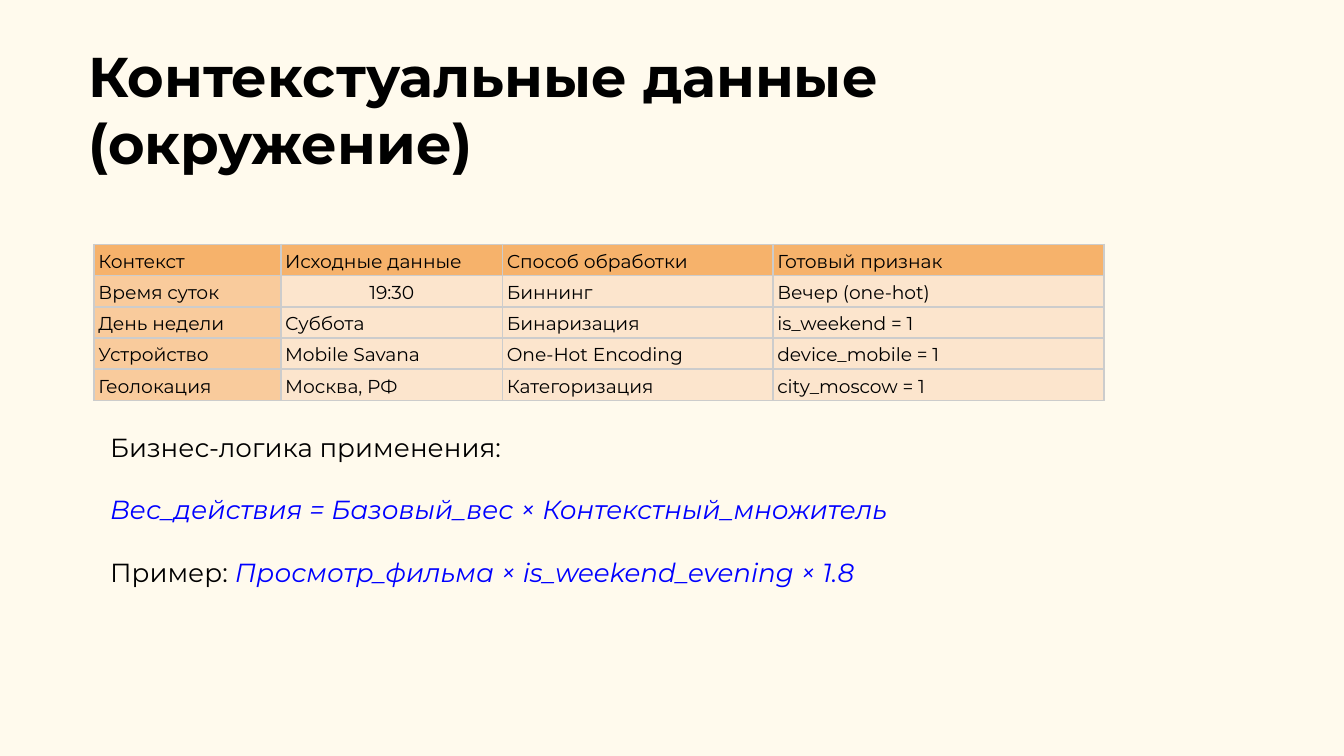
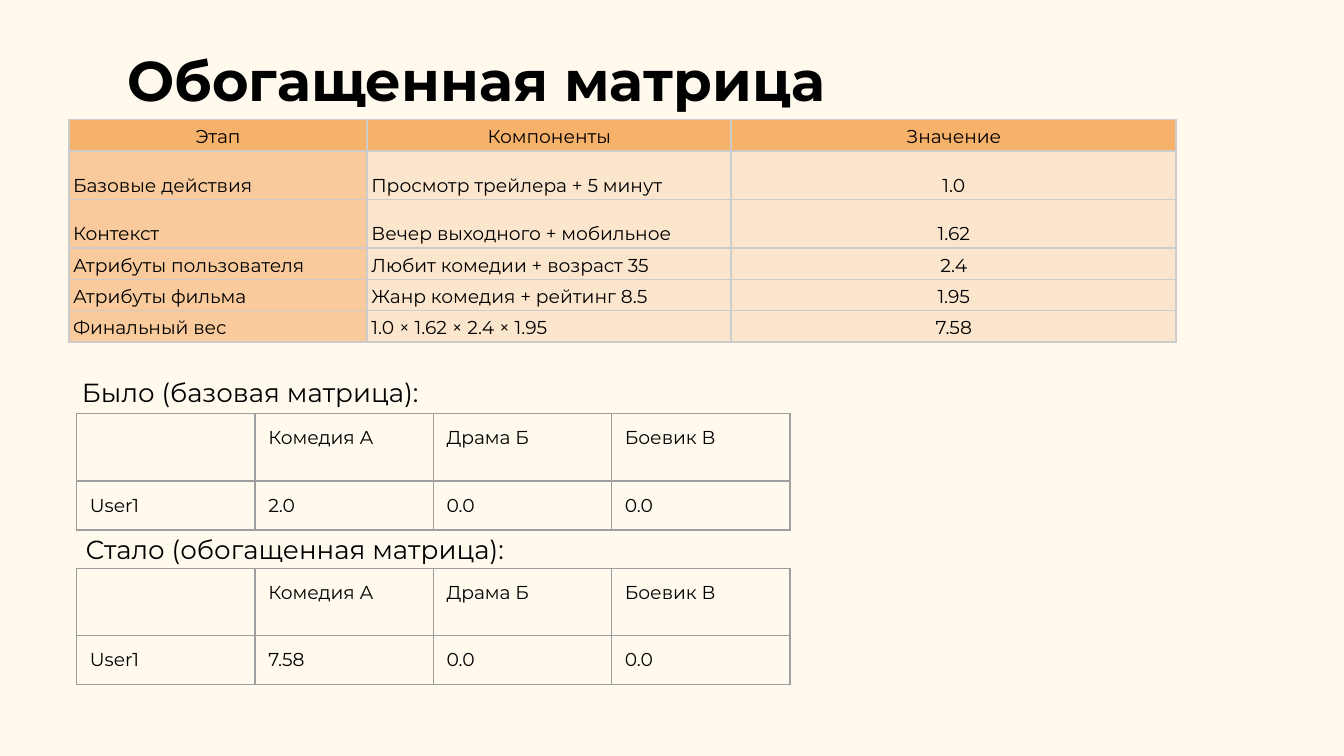
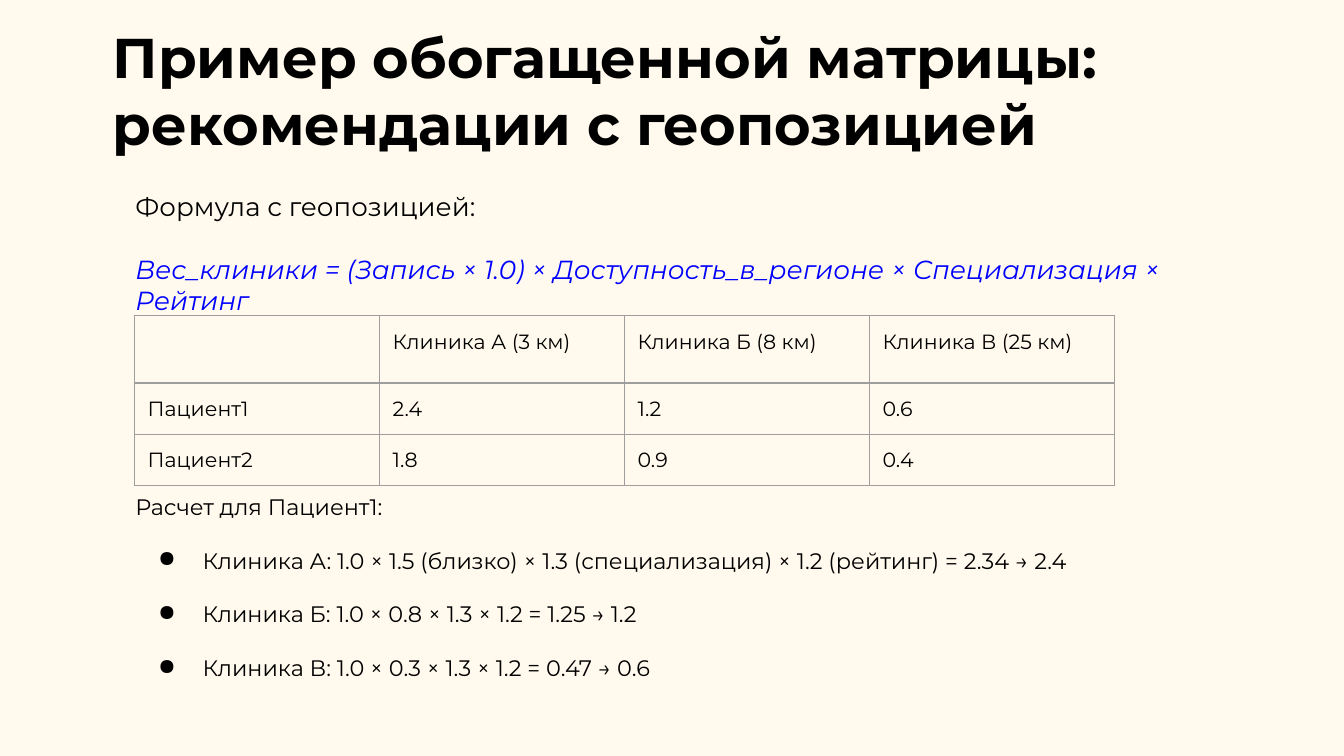
from lxml.etree import SubElement as Sub
from pptx import Presentation
from pptx.dml.color import RGBColor as RGB
from pptx.enum.text import MSO_ANCHOR as Anchor, MSO_AUTO_SIZE as Auto, PP_ALIGN as Align
from pptx.oxml.ns import qn
from pptx.util import Cm, Pt

CREAM = RGB(0xFF, 0xFA, 0xED)
BLACK = RGB(0x00, 0x00, 0x00)
BLUE = RGB(0x00, 0x00, 0xFF)
HEAD = RGB(0xF6, 0xB2, 0x6B)
SIDE = RGB(0xF9, 0xCB, 0x9C)
PEACH = RGB(0xFC, 0xE5, 0xCD)
SILVER = RGB(0xCC, 0xCC, 0xCC)
GREY = RGB(0x9E, 0x9E, 0x9E)

FONT = "Montserrat"
LEADING = 1.2
PAD = dict.fromkeys(("margin_left", "margin_top", "margin_right", "margin_bottom"), Cm(0.25))
TIGHT = {"margin_left": Cm(0.08), "margin_top": Cm(0.05),
         "margin_right": Cm(0.08), "margin_bottom": Cm(0.05),
         "vertical_anchor": Anchor.BOTTOM}
GROW = {**PAD, "word_wrap": True, "auto_size": Auto.SHAPE_TO_FIT_TEXT}
PLAIN = {"first_row": False, "horz_banding": False}


def apply(item, form):
    for name, value in form.items():
        setattr(item, name, value)


class Deck:
    def __init__(self):
        self.prs = Presentation()
        apply(self.prs, {"slide_width": Cm(25.4), "slide_height": Cm(14.29)})
        self.slide = None

    def page(self):
        self.slide = self.prs.slides.add_slide(self.prs.slide_layouts[6])
        fill = self.slide.background.fill
        fill.solid()
        fill.fore_color.rgb = CREAM

    def run(self, para, text, size, color=BLACK, **form):
        run = para.add_run()
        run.text = text
        apply(run.font, {"name": FONT, "size": Pt(size), **form})
        run.font.color.rgb = color

    def bullet(self, para):
        props = para._p.get_or_add_pPr()
        props.set("marL", str(Cm(1.27)))
        props.set("indent", str(Cm(-0.84)))
        color = Sub(props, qn("a:buClr"))
        Sub(color, qn("a:srgbClr"), val=str(BLACK))
        Sub(props, qn("a:buChar"), char="●")

    def text(self, box, lines, size=14, points=(), **form):
        frame = self.slide.shapes.add_textbox(*map(Cm, box)).text_frame
        apply(frame, GROW)
        for num, line in enumerate([*lines, *points]):
            para = frame.add_paragraph() if num else frame.paragraphs[0]
            if num:
                para.space_before = Pt(size * LEADING)
            if num >= len(lines):
                self.bullet(para)
            for odd, part in enumerate(line.split("|")):
                if part:
                    math = {"color": BLUE, "italic": True} if odd % 2 else {}
                    self.run(para, part, size, **math, **form)

    def title(self, box, text):
        self.text(box, [text], 30, bold=True)

    def border(self, cell, color, width):
        props = cell._tc.get_or_add_tcPr()
        for side in "LRTB":
            line = Sub(props, qn(f"a:ln{side}"), w=str(Pt(width)))
            Sub(Sub(line, qn("a:solidFill")), qn("a:srgbClr"), val=str(color))

    def table(self, spot, cols, rows, data):
        frame = self.slide.shapes.add_table(
            len(rows), len(cols), *map(Cm, (*spot, sum(cols), sum(rows))))
        table = frame.table
        apply(table, PLAIN)
        for col, width in zip(table.columns, cols):
            col.width = Cm(width)
        for row, height in zip(table.rows, rows):
            row.height = Cm(height)
        for r, words in enumerate(data):
            for c, word in enumerate(words):
                yield r, c, table.cell(r, c), word

    def warm(self, spot, cols, rows, data, mid):
        for r, c, cell, word in self.table(spot, cols, rows, data):
            apply(cell, TIGHT)
            self.border(cell, SILVER, 1)
            cell.fill.solid()
            cell.fill.fore_color.rgb = PEACH if r and c else SIDE if r else HEAD
            para = cell.text_frame.paragraphs[0]
            para.line_spacing = 1.15
            if (r, c) in mid:
                para.alignment = Align.CENTER
            self.run(para, word, 10)

    def grid(self, spot, width, low, data, size=10):
        rows = [1.27] + [low] * (len(data) - 1)
        for r, c, cell, word in self.table(spot, [width] * len(data[0]), rows, data):
            apply(cell, PAD)
            self.border(cell, GREY, 0.75)
            cell.fill.background()
            if word:
                self.run(cell.text_frame.paragraphs[0], word, size)


def context(deck):
    deck.page()
    deck.title((1.42, 0.53, 21.11, 3.07), "Контекстуальные данные (окружение)")
    deck.warm((1.78, 4.62), (3.53, 4.19, 5.11, 6.25), [0.59] * 5, [
        ("Контекст", "Исходные данные", "Способ обработки", "Готовый признак"),
        ("Время суток", "19:30", "Биннинг", "Вечер (one-hot)"),
        ("День недели", "Суббота", "Бинаризация", "is_weekend = 1"),
        ("Устройство", "Mobile Savana", "One-Hot Encoding", "device_mobile = 1"),
        ("Геолокация", "Москва, РФ", "Категоризация", "city_moscow = 1"),
    ], {(1, 1)})
    deck.text((1.83, 7.9, 19.61, 3.51), [
        "Бизнес-логика применения:",
        "|Вес_действия = Базовый_вес × Контекстный_множитель",
        "Пример: |Просмотр_фильма × is_weekend_evening × 1.8",
    ])


def matrix(deck):
    deck.page()
    deck.title((2.16, 0.61, 22.28, 1.8), "Обогащенная матрица")
    data = [
        ("Этап", "Компоненты", "Значение"),
        ("Базовые действия", "Просмотр трейлера + 5 минут", "1.0"),
        ("Контекст", "Вечер выходного + мобильное", "1.62"),
        ("Атрибуты пользователя", "Любит комедии + возраст 35", "2.4"),
        ("Атрибуты фильма", "Жанр комедия + рейтинг 8.5", "1.95"),
        ("Финальный вес", "1.0 × 1.62 × 2.4 × 1.95", "7.58"),
    ]
    mid = {(0, c) for c in range(3)} | {(r, 2) for r in range(len(data))}
    rows = (0.59, 0.92, 0.92, 0.59, 0.59, 0.59)
    deck.warm((1.3, 2.26), (5.64, 6.88, 8.41), rows, data, mid)
    for box, label, top, score in (
        ((1.3, 6.86, 8.33, 1.12), "Было (базовая матрица):", 7.82, "2.0"),
        ((1.37, 9.83, 14.25, 1.12), "Стало (обогащенная матрица):", 10.74, "7.58"),
    ):
        deck.text(box, [label])
        deck.grid((1.45, top), 3.37, 0.93, [
            ("", "Комедия А", "Драма Б", "Боевик В"),
            ("User1", score, "0.0", "0.0"),
        ])


def clinic(deck):
    deck.page()
    deck.title((1.88, 0.18, 22.28, 3.07),
               "Пример обогащенной матрицы: рекомендации с геопозицией")
    deck.text((2.31, 3.35, 21.03, 2.9), [
        "Формула с геопозицией:",
        "|Вес_клиники = (Запись × 1.0) × Доступность_в_регионе × Специализация × Рейтинг",
    ])
    deck.grid((2.54, 5.97), 4.63, 0.97, [
        ("", "Клиника А (3 км)", "Клиника Б (8 км)", "Клиника В (25 км)"),
        ("Пациент1", "2.4", "1.2", "0.6"),
        ("Пациент2", "1.8", "0.9", "0.4"),
    ], 11)
    deck.text((2.31, 9.07, 22.81, 4.11), ["Расчет для Пациент1:"], 12, [
        "Клиника А: 1.0 × 1.5 (близко) × 1.3 (специализация) × 1.2 (рейтинг) = 2.34 → 2.4",
        "Клиника Б: 1.0 × 0.8 × 1.3 × 1.2 = 1.25 → 1.2",
        "Клиника В: 1.0 × 0.3 × 1.3 × 1.2 = 0.47 → 0.6",
    ])


def main():
    deck = Deck()
    for build in (context, matrix, clinic):
        build(deck)
    deck.prs.save("out.pptx")


if __name__ == "__main__":
    main()
